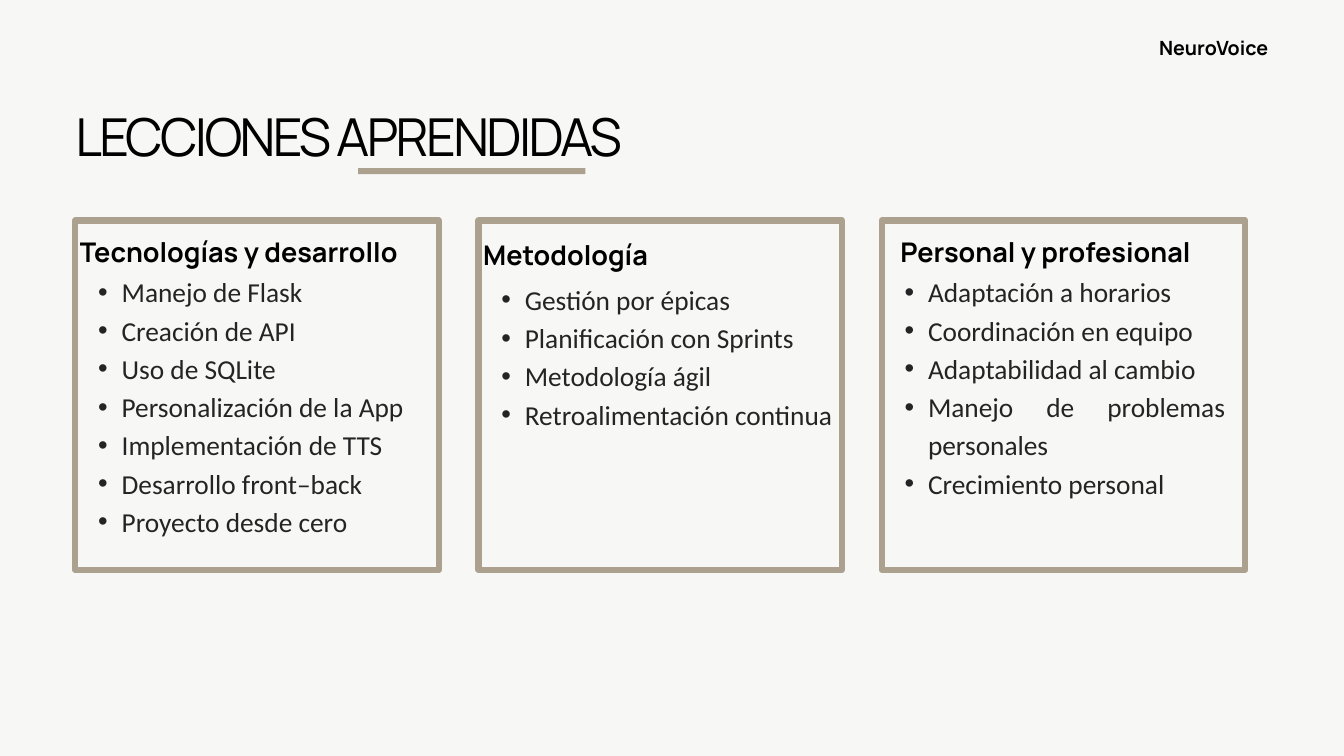
from lxml.etree import SubElement
from pptx import Presentation
from pptx.dml.color import RGBColor
from pptx.enum.shapes import MSO_SHAPE
from pptx.enum.text import MSO_ANCHOR, MSO_AUTO_SIZE, PP_ALIGN
from pptx.oxml.ns import qn
from pptx.util import Inches, Pt

COMPARISON_LAYOUT = 4
CARD_LEFT, CARD_TOP, CARD_PITCH = 1.12, 3.28, 6
CARD_WIDTH, CARD_HEIGHT = 5.41, 5.2

# Heading, its offset from the card, top, width and alignment;
# then the list's top, width, height and items
CARDS = [
    ("Tecnologías y desarrollo", 0.07, 3.43, 5.12, PP_ALIGN.JUSTIFY, 4.02, 6.05, 3.98,
     ["Manejo de Flask", "Creación de API", "Uso de SQLite",
      "Personalización de la App", "Implementación de TTS",
      "Desarrollo front–back", "Proyecto desde cero"]),
    ("Metodología", 0.07, 3.47, 4.26, PP_ALIGN.LEFT, 4.13, 5.34, 2.84,
     ["Gestión por épicas", "Planificación con Sprints",
      "Metodología ágil", "Retroalimentación continua"]),
    ("Personal y profesional", 0, 3.43, 4.88, PP_ALIGN.CENTER, 4.02, 5.11, 3.41,
     ["Adaptación a horarios", "Coordinación en equipo",
      "Adaptabilidad al cambio", "Manejo de problemas personales",
      "Crecimiento personal"]),
]


def color(value):
    return RGBColor.from_string(value)


class SlideBuilder:
    BACKGROUND, ACCENT, BLACK, BODY = "F7F7F6", "ACA18F", "000000", "242424"
    HEADING_FONT, BODY_FONT = "Manrope", "Calibri"

    def __init__(self, slide):
        self.slide = slide
        slide.background.fill.solid()
        slide.background.fill.fore_color.rgb = color(self.BACKGROUND)

    def place(self, shape, left, top, width, height):
        shape.left, shape.top = Inches(left), Inches(top)
        shape.width, shape.height = Inches(width), Inches(height)
        frame = shape.text_frame
        frame.margin_left = frame.margin_right = 0
        frame.margin_top = frame.margin_bottom = 0
        frame.word_wrap = True
        frame.auto_size = MSO_AUTO_SIZE.NONE
        frame.vertical_anchor = MSO_ANCHOR.TOP
        return frame

    def format(self, paragraph, size, line_height, align, font, fill, bold):
        paragraph.alignment = align
        paragraph.line_spacing = Pt(line_height)
        paragraph.space_before = paragraph.space_after = Pt(0)
        paragraph.font.name = font
        paragraph.font.size = Pt(size)
        paragraph.font.bold = bold
        paragraph.font.color.rgb = color(fill)

    def title(self, text, *box):
        paragraph = self.place(self.slide.shapes.title, *box).paragraphs[0]
        run = paragraph.add_run()
        run.text = text
        run._r.get_or_add_rPr().set("spc", "-280")
        self.format(paragraph, 56, 78.4, PP_ALIGN.LEFT,
                    self.HEADING_FONT, self.BLACK, False)

    def label(self, text, size, line_height, align, *box):
        shape = self.slide.shapes.add_textbox(0, 0, 0, 0)
        paragraph = self.place(shape, *box).paragraphs[0]
        paragraph.text = text
        self.format(paragraph, size, line_height, align,
                    self.HEADING_FONT, self.BLACK, True)

    def bullets(self, placeholder, items, *box):
        frame = self.place(placeholder, *box)
        frame.text = "\n".join(items)
        for paragraph in frame.paragraphs:
            paragraph.level = 1
            properties = paragraph._p.get_or_add_pPr()
            properties.set("marL", str(Inches(0.69)))
            properties.set("indent", str(Inches(-0.35)))
            SubElement(properties, qn("a:buFont")).set("typeface", "Arial")
            SubElement(properties, qn("a:buChar")).set("char", "•")
            self.format(paragraph, 29.3, 41, PP_ALIGN.JUSTIFY,
                        self.BODY_FONT, self.BODY, False)

    def rectangle(self, left, top, width, height):
        shape = self.slide.shapes.add_shape(
            MSO_SHAPE.RECTANGLE, Inches(left), Inches(top),
            Inches(width), Inches(height))
        shape.shadow.inherit = False
        return shape

    def bar(self, *box):
        shape = self.rectangle(*box)
        shape.fill.solid()
        shape.fill.fore_color.rgb = color(self.ACCENT)
        shape.line.fill.background()

    def outline(self, *box):
        shape = self.rectangle(*box)
        shape.fill.background()
        shape.line.color.rgb = color(self.ACCENT)
        shape.line.width = Pt(6.75)


def main():
    presentation = Presentation()
    presentation.slide_width = Inches(20)
    presentation.slide_height = Inches(11.25)
    layout = presentation.slide_layouts[COMPARISON_LAYOUT]
    slide = presentation.slides.add_slide(layout)
    builder = SlideBuilder(slide)

    # Header
    builder.bar(5.33, 2.5, 3.38, 0.09)
    builder.title("LECCIONES APRENDIDAS", 1.12, 1.4, 10.82, 1.1)
    builder.label("NeuroVoice", 21, 29.4, PP_ALIGN.RIGHT, 15.25, 0.48, 3.62, 0.41)

    # One list placeholder per card; the layout has one too many
    _, *bodies = slide.placeholders
    spare = bodies.pop()
    spare.element.getparent().remove(spare.element)

    # Cards
    for index, (card, body) in enumerate(zip(CARDS, bodies)):
        heading, offset, top, width, align, list_top, list_width, list_height, items = card
        left = CARD_LEFT + index * CARD_PITCH
        builder.label(heading, 29, 40.6, align, left + offset, top, width, 0.57)
        builder.bullets(body, items, left, list_top, list_width, list_height)
        builder.outline(left, CARD_TOP, CARD_WIDTH, CARD_HEIGHT)

    presentation.save("out.pptx")


if __name__ == "__main__":
    main()
